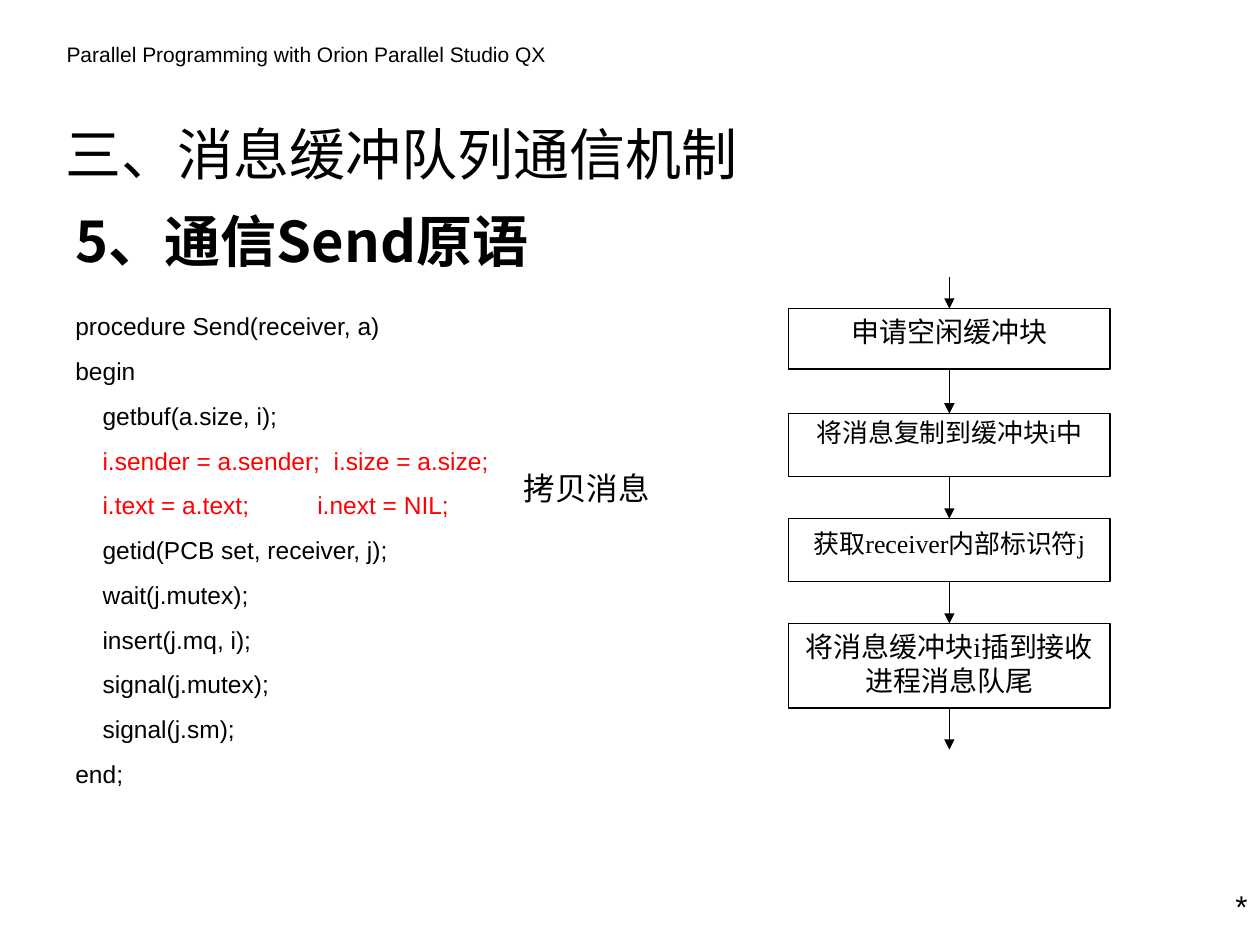
from lxml.etree import SubElement
from pptx import Presentation
from pptx.dml.color import RGBColor
from pptx.enum.shapes import MSO_CONNECTOR as Connector, MSO_SHAPE as Shape
from pptx.enum.text import MSO_ANCHOR as Anchor, MSO_AUTO_SIZE as AutoSize, PP_ALIGN as Align
from pptx.oxml.ns import qn
from pptx.util import Inches, Pt

BLACK = RGBColor(0x00, 0x00, 0x00)
WHITE = RGBColor(0xFF, 0xFF, 0xFF)
RED = RGBColor(0xFF, 0x00, 0x00)
LATIN, CJK, SERIF = "Arial", "Noto Sans CJK SC", "Times New Roman"

TITLE = "三、消息缓冲队列通信机制"
# text, (left, top, width, height), size, font, bold, alignment
LABELS = [
    ("Parallel Programming with Orion Parallel Studio QX",
     (0.43, 0.28, 4.1, 0.3), 12, LATIN, False, Align.LEFT),
    ("5、通信Send原语", (0.5, 1.59, 9.25, 0.92), 32, CJK, True, Align.LEFT),
    ("*", (9.1, 6.99, 0.9, 0.4), 18, LATIN, False, Align.RIGHT),
    ("拷贝消息", (4.06, 3.67, 1.81, 0.4), 18, LATIN, False, Align.LEFT),
]
# code line, colour, tab stop in inches
CODE = [
    ("procedure Send(receiver, a)", BLACK, None),
    ("begin", BLACK, None),
    ("    getbuf(a.size, i);", BLACK, None),
    ("    i.sender = a.sender;\ti.size = a.size;", RED, 2.05),
    ("    i.text = a.text;\ti.next = NIL;", RED, 1.92),
    ("    getid(PCB set, receiver, j);", BLACK, None),
    ("    wait(j.mutex);", BLACK, None),
    ("    insert(j.mq, i);", BLACK, None),
    ("    signal(j.mutex);", BLACK, None),
    ("    signal(j.sm);", BLACK, None),
    ("end;", BLACK, None),
]
# step, height, size, line spacing
STEPS = [
    ("申请空闲缓冲块", 0.48, 16, 1.0),
    ("将消息复制到缓冲块i中", 0.5, 14.8, 0.9),
    ("获取receiver内部标识符j", 0.5, 14.8, 1.1),
    ("将消息缓冲块i插到接收进程消息队尾", 0.67, 16, 1.0),
]
STEP_LEFT, STEP_TOP, STEP_WIDTH = 6.26, 2.45, 2.55
STEP_PITCH = 2.5 / 3
FLOW_X = STEP_LEFT + STEP_WIDTH / 2
FLOW_START, FLOW_END = 2.2, 5.95
TOP_SIDE, BOTTOM_SIDE = 0, 2


def style(paragraph, size, font, color=BLACK, bold=False, align=Align.LEFT):
    paragraph.alignment = align
    for run in paragraph.runs:
        run.font.size = Pt(size)
        run.font.name = font
        run.font.bold = bold
        run.font.color.rgb = color
        SubElement(run.font._element, qn("a:ea"), typeface=CJK)


def add_text_frame(slide, box):
    frame = slide.shapes.add_textbox(*map(Inches, box)).text_frame
    frame.word_wrap = True
    return frame


def add_code(slide):
    frame = add_text_frame(slide, (0.5, 2.42, 6, 3.89))
    for index, (line, color, tab_stop) in enumerate(CODE):
        paragraph = frame.add_paragraph() if index else frame.paragraphs[0]
        paragraph.text = line
        if index:
            paragraph.space_before = Pt(8.8)
        if tab_stop:
            tabs = SubElement(paragraph._p.get_or_add_pPr(), qn("a:tabLst"))
            SubElement(tabs, qn("a:tab"), pos=str(Inches(tab_stop)), algn="l")
        style(paragraph, 14, LATIN, color)


def add_step(slide, index, text, height, size, spacing):
    step = slide.shapes.add_shape(
        Shape.RECTANGLE, Inches(STEP_LEFT), Inches(STEP_TOP + index * STEP_PITCH),
        Inches(STEP_WIDTH), Inches(height))
    step.shadow.inherit = False
    step.fill.solid()
    step.fill.fore_color.rgb = WHITE
    step.line.color.rgb = BLACK
    step.line.width = Pt(0.75)
    frame = step.text_frame
    frame.word_wrap = True
    frame.vertical_anchor = Anchor.TOP
    frame.text = text
    frame.paragraphs[0].line_spacing = spacing
    style(frame.paragraphs[0], size, SERIF, align=Align.CENTER)
    return step


def add_arrow(slide, source, target):
    """Draw a flow arrow; a missing source or target leaves that end free."""
    arrow = slide.shapes.add_connector(
        Connector.STRAIGHT, Inches(FLOW_X), Inches(FLOW_START),
        Inches(FLOW_X), Inches(FLOW_END))
    if source:
        arrow.begin_connect(source, BOTTOM_SIDE)
    if target:
        arrow.end_connect(target, TOP_SIDE)
    arrow.line.color.rgb = BLACK
    arrow.line.width = Pt(0.75)
    SubElement(arrow.line._get_or_add_ln(), qn("a:tailEnd"), type="triangle")
    SubElement(arrow._element.spPr, qn("a:effectLst"))


def main():
    deck = Presentation()
    deck.slide_width, deck.slide_height = Inches(10), Inches(7.5)
    slide = deck.slides.add_slide(deck.slide_layouts[5])

    title = slide.shapes.title
    title.left, title.top, title.width, title.height = map(
        Inches, (0.42, 0.84, 5.67, 0.75))
    title.text_frame.text = TITLE
    title.text_frame.auto_size = AutoSize.NONE
    title.text_frame.vertical_anchor = Anchor.MIDDLE
    style(title.text_frame.paragraphs[0], 32, CJK)

    for text, box, size, font, bold, align in LABELS:
        frame = add_text_frame(slide, box)
        frame.text = text
        style(frame.paragraphs[0], size, font, bold=bold, align=align)
    add_code(slide)

    steps = [add_step(slide, index, *step) for index, step in enumerate(STEPS)]
    for source, target in zip([None] + steps, steps + [None]):
        add_arrow(slide, source, target)

    deck.save("out.pptx")


if __name__ == "__main__":
    main()
